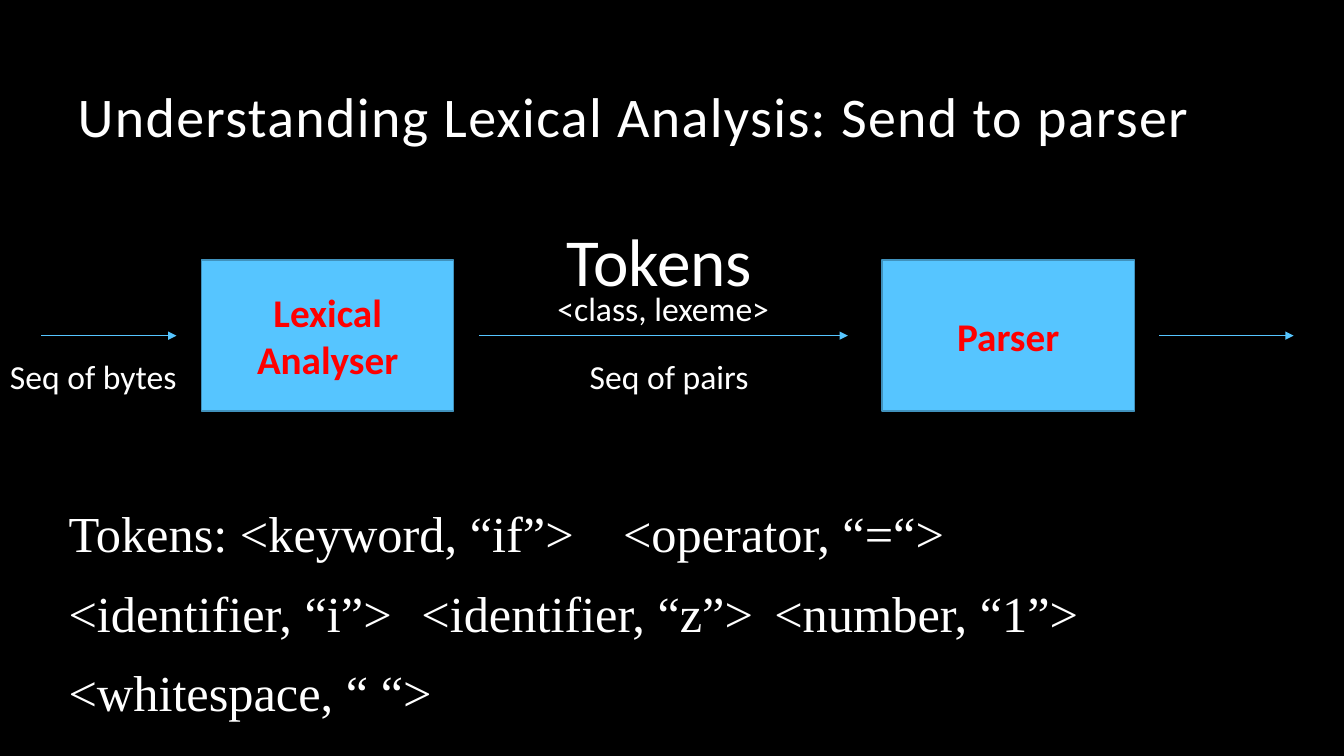
"""Build the slide on sending tokens from the lexical analyser to the parser."""
from lxml import etree
from pptx import Presentation
from pptx import util as u
from pptx.dml.color import RGBColor
from pptx.enum import shapes, text
from pptx.oxml import ns

THEME = {
    "back": RGBColor.from_string("000000"),
    "accent": RGBColor.from_string("56C5FF"),
    "edge": RGBColor.from_string("4092BD"),
    "ink": RGBColor.from_string("FFFFFF"),
    "alert": RGBColor.from_string("FF0000"),
    "sans": "Calibri",
    "serif": "Times New Roman",
    "title": 40, "body": 36, "stage": 28, "heading": 48, "label": 24,
}


def place(box, left, top, width, height):
    bounds = {"left": left, "top": top, "width": width, "height": height}
    for name, value in bounds.items():
        setattr(box, name, u.Inches(value))


def write(para, words, size, color="ink", face="sans", bold=False, **layout):
    span = para.add_run()
    span.text = words
    span.font.color.rgb = THEME[color]
    font_format = {"name": THEME[face], "size": u.Pt(THEME[size]), "bold": bold}
    for target, values in ((span.font, font_format), (para, layout)):
        for name, value in values.items():
            setattr(target, name, value)
    return span


deck = Presentation()
deck.slide_width, deck.slide_height = u.Inches(13.33), u.Inches(7.5)
page = deck.slides.add_slide(deck.slide_layouts[1])
page.background.fill.solid()
page.background.fill.fore_color.rgb = THEME["back"]

title, body = page.shapes.title, page.placeholders[1]
place(title, 0.67, 0.03, 11.51, 1.5)
place(body, 0.58, 5, 12.08, 2.5)
for box, anchor in ((title, text.MSO_ANCHOR.BOTTOM), (body, text.MSO_ANCHOR.TOP)):
    frame_format = {"vertical_anchor": anchor, "word_wrap": True,
                    "auto_size": text.MSO_AUTO_SIZE.NONE}
    for name, value in frame_format.items():
        setattr(box.text_frame, name, value)

span = write(title.text_frame.paragraphs[0],
             "Understanding Lexical Analysis: Send to parser", "title",
             alignment=text.PP_ALIGN.LEFT, line_spacing=0.9)
span.font._element.set("spc", "100")

token_lines = [
    ("Tokens: <keyword, “if”>\t<operator, “=“>", [5.27]),
    ("<identifier, “i”>\t<identifier, “z”>\t<number, “1”>", [3.46, 7.13]),
    ("<whitespace, “ “>", []),
]
for index, (words, stops) in enumerate(token_lines):
    frame = body.text_frame
    para = frame.add_paragraph() if index else frame.paragraphs[0]
    write(para, words, "body", face="serif", alignment=text.PP_ALIGN.LEFT,
          line_spacing=0.9, space_before=u.Pt(18))
    settings = para._p.get_or_add_pPr()
    settings.set("marL", "0")
    settings.set("indent", "0")
    etree.SubElement(settings, ns.qn("a:buNone"))
    if stops:
        tabs = etree.SubElement(settings, ns.qn("a:tabLst"))
        for stop in stops:
            etree.SubElement(tabs, ns.qn("a:tab"), pos=str(u.Inches(stop)), algn="l")

for words, left in (("Lexical Analyser", 2), ("Parser", 8.75)):
    box = page.shapes.add_shape(shapes.MSO_SHAPE.RECTANGLE, u.Inches(left),
                                u.Inches(2.58), u.Inches(2.5), u.Inches(1.5))
    box.shadow.inherit = False
    box.fill.solid()
    box.fill.fore_color.rgb = THEME["accent"]
    box.line.color.rgb = THEME["edge"]
    box.line.width = u.Pt(1)
    box.text_frame.word_wrap = True
    box.text_frame.vertical_anchor = text.MSO_ANCHOR.MIDDLE
    write(box.text_frame.paragraphs[0], words, "stage", "alert", bold=True,
          alignment=text.PP_ALIGN.CENTER)

for start, end in ((0.41, 1.75), (4.75, 8.41), (11.5, 12.83)):
    arrow = page.shapes.add_connector(shapes.MSO_CONNECTOR.STRAIGHT, u.Inches(start),
                                      u.Inches(3.33), u.Inches(end), u.Inches(3.33))
    arrow.line.color.rgb = THEME["accent"]
    arrow.line.width = u.Pt(0.5)
    etree.SubElement(arrow.line._get_or_add_ln(), ns.qn("a:tailEnd"), type="triangle")
    etree.SubElement(arrow._element.spPr, ns.qn("a:effectLst"))

labels = [
    ("Tokens", "heading", True, (5.52, 2.13, 2.21, 0.91)),
    ("<class, lexeme>", "label", False, (5.43, 2.81, 2.38, 0.5)),
    ("Seq of bytes", "label", False, (0, 3.48, 1.92, 0.5)),
    ("Seq of pairs", "label", False, (5.75, 3.48, 1.82, 0.5)),
]
for words, size, wrap, bounds in labels:
    box = page.shapes.add_textbox(*map(u.Inches, bounds))
    box.text_frame.word_wrap = wrap
    box.text_frame.auto_size = text.MSO_AUTO_SIZE.SHAPE_TO_FIT_TEXT
    write(box.text_frame.paragraphs[0], words, size)

deck.save("out.pptx")
